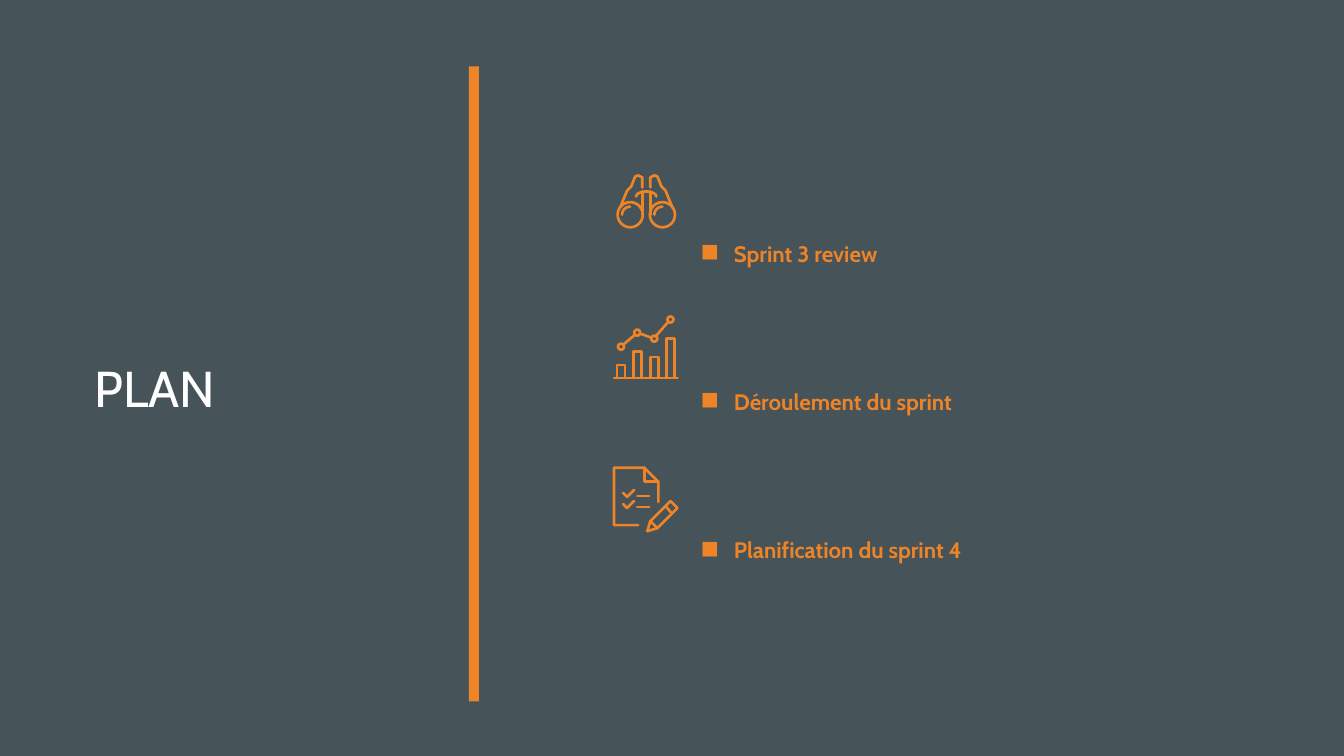
from dataclasses import dataclass
from math import cos, radians, sin

from lxml.etree import SubElement
from pptx import Presentation
from pptx.dml.color import RGBColor
from pptx.enum.shapes import MSO_CONNECTOR, MSO_SHAPE
from pptx.enum.text import MSO_ANCHOR, PP_ALIGN
from pptx.oxml.ns import qn
from pptx.shapes.group import GroupShape
from pptx.slide import Slide
from pptx.util import Inches, Pt

COLORS = {"slate": "465359", "orange": "ED8428", "white": "FFFFFF"}
FONT = "Cabin"
STROKE_WIDTH = 1.9
BINOCULAR_AXIS = 6.41

Point = tuple[float, float]


@dataclass(frozen=True)
class Stroke:
    points: list[Point]
    closed: bool = False


@dataclass(frozen=True)
class Outline:
    """A preset shape that is drawn by its contour only."""
    preset: MSO_SHAPE
    left: float
    top: float
    width: float
    height: float


Part = Stroke | Outline


def color(name: str) -> RGBColor:
    return RGBColor.from_string(COLORS[name])


def arc(x: float, y: float, radius_x: float, radius_y: float, start: int, end: int) -> Stroke:
    """Trace an elliptical arc clockwise from start to end, in degrees."""
    angles = [radians(degree) for degree in range(start, end + 1, 10)]
    return Stroke([(x + radius_x * cos(a), y + radius_y * sin(a)) for a in angles])


def ring(x: float, y: float, diameter: float) -> Outline:
    return Outline(MSO_SHAPE.OVAL, x - diameter / 2, y - diameter / 2, diameter, diameter)


def mirrored(stroke: Stroke) -> Stroke:
    return Stroke([(2 * BINOCULAR_AXIS - x, y) for x, y in stroke.points])


def binoculars() -> list[Part]:
    lens_x, lens_y = 6.25, 2.13
    left_half = [
        Stroke([(6.15, 2.06), (6.22, 1.89), (6.26, 1.85), (6.3, 1.75),
                (6.33, 1.74), (6.37, 1.76), (6.37, 1.86)]),
        Stroke([(6.37, 1.9), (6.37, 2.13)]),
    ]
    lenses = [lens_x, 2 * BINOCULAR_AXIS - lens_x]
    return [
        *left_half,
        *map(mirrored, left_half),
        *[ring(x, lens_y, 0.25) for x in lenses],
        *[arc(x, lens_y, 0.08, 0.08, 180, 270) for x in lenses],
        arc(BINOCULAR_AXIS, 1.95, 0.1, 0.05, 180, 360),
    ]


def growth_chart() -> list[Part]:
    bottom = 3.75
    bar_tops = [3.62, 3.49, 3.54, 3.36]
    dots = [(6.16, 3.44), (6.32, 3.3), (6.49, 3.36), (6.65, 3.17)]
    links = [
        [(6.18, 3.42), (6.3, 3.32)],
        [(6.35, 3.31), (6.46, 3.35)],
        [(6.5, 3.34), (6.63, 3.19)],
    ]
    bars = [Outline(MSO_SHAPE.RECTANGLE, x - 0.04, top, 0.08, bottom - top)
            for (x, _), top in zip(dots, bar_tops)]
    return [
        Stroke([(6.09, bottom), (6.72, bottom)]),
        *bars,
        *[ring(x, y, 0.06) for x, y in dots],
        *map(Stroke, links),
    ]


def checklist() -> list[Part]:
    items: list[Part] = []
    for y in (4.92, 5.03):
        items.append(Stroke([(6.18, y - 0.03), (6.22, y + 0.01), (6.29, y - 0.06)]))
        items.append(Stroke([(6.32, y), (6.44, y)]))
    return [
        Stroke([(6.33, 5.21), (6.09, 5.21), (6.09, 4.64), (6.39, 4.64),
                (6.53, 4.78), (6.53, 4.98)]),
        Stroke([(6.39, 4.64), (6.39, 4.78), (6.53, 4.78)]),
        *items,
        Stroke([(6.42, 5.27), (6.45, 5.17), (6.65, 4.97), (6.72, 5.04), (6.52, 5.24)],
               closed=True),
        Stroke([(6.45, 5.17), (6.52, 5.24)]),
        Stroke([(6.6, 5.02), (6.66, 5.09)]),
    ]


def draw_part(group: GroupShape, part: Part) -> None:
    if isinstance(part, Outline):
        shape = group.shapes.add_shape(part.preset, Inches(part.left), Inches(part.top),
                                       Inches(part.width), Inches(part.height))
    else:
        points = [(Inches(x), Inches(y)) for x, y in part.points]
        if len(points) == 2:
            shape = group.shapes.add_connector(MSO_CONNECTOR.STRAIGHT, *points[0], *points[1])
            SubElement(shape._element.spPr, qn("a:effectLst"))
        else:
            builder = group.shapes.build_freeform(*points[0])
            builder.add_line_segments(points[1:], close=part.closed)
            shape = builder.convert_to_shape()
    if hasattr(shape, "fill"):
        shape.fill.background()
        shape.shadow.inherit = False
    shape.line.color.rgb = color("orange")
    shape.line.width = Pt(STROKE_WIDTH)
    line = shape.line._get_or_add_ln()
    line.set("cap", "rnd")
    SubElement(line, qn("a:round"))


def add_bullet(para) -> None:
    properties = para._p.get_or_add_pPr()
    indent = Inches(0.33)
    properties.set("marL", str(indent))
    properties.set("indent", str(-indent))
    bullet_color = SubElement(properties, qn("a:buClr"))
    SubElement(bullet_color, qn("a:srgbClr"), val=COLORS["orange"])
    SubElement(properties, qn("a:buChar"), char="◼")


def add_text(page: Slide, lines: list[str], *, left: float, top: float, width: float,
             height: float, size: int, ink: str, bold: bool = False, bullets: bool = False,
             line_spacing: float = 1.0, space_before: int = 0) -> None:
    box = page.shapes.add_textbox(Inches(left), Inches(top), Inches(width), Inches(height))
    frame = box.text_frame
    frame.word_wrap = True
    frame.vertical_anchor = MSO_ANCHOR.MIDDLE
    for index, line in enumerate(lines):
        para = frame.add_paragraph() if index else frame.paragraphs[0]
        para.alignment = PP_ALIGN.LEFT
        para.line_spacing = line_spacing
        if index:
            para.space_before = Pt(space_before)
        if bullets:
            add_bullet(para)
        span = para.add_run()
        span.text = line
        span.font.name = FONT
        span.font.size = Pt(size)
        span.font.bold = bold
        span.font.color.rgb = color(ink)


def main() -> None:
    deck = Presentation()
    deck.slide_width, deck.slide_height = Inches(13.33), Inches(7.5)
    page = deck.slides.add_slide(deck.slide_layouts[6])
    page.background.fill.solid()
    page.background.fill.fore_color.rgb = color("slate")

    divider = page.shapes.add_shape(MSO_SHAPE.RECTANGLE, Inches(4.65), Inches(0.66),
                                    Inches(0.1), Inches(6.3))
    divider.fill.solid()
    divider.fill.fore_color.rgb = color("orange")
    divider.line.fill.background()
    divider.shadow.inherit = False

    add_text(page, ["PLAN"], left=0.84, top=2.9, width=3.32, height=1.88,
             size=36, ink="white")
    add_text(page, ["Sprint 3 review", "Déroulement du sprint", "Planification du sprint 4"],
             left=6.85, top=0.6, width=5.78, height=5.7, size=16, ink="orange", bold=True,
             bullets=True, line_spacing=5.0, space_before=10)

    for icon in (checklist(), binoculars(), growth_chart()):
        group = page.shapes.add_group_shape()
        for part in icon:
            draw_part(group, part)

    deck.save("out.pptx")


if __name__ == "__main__":
    main()
